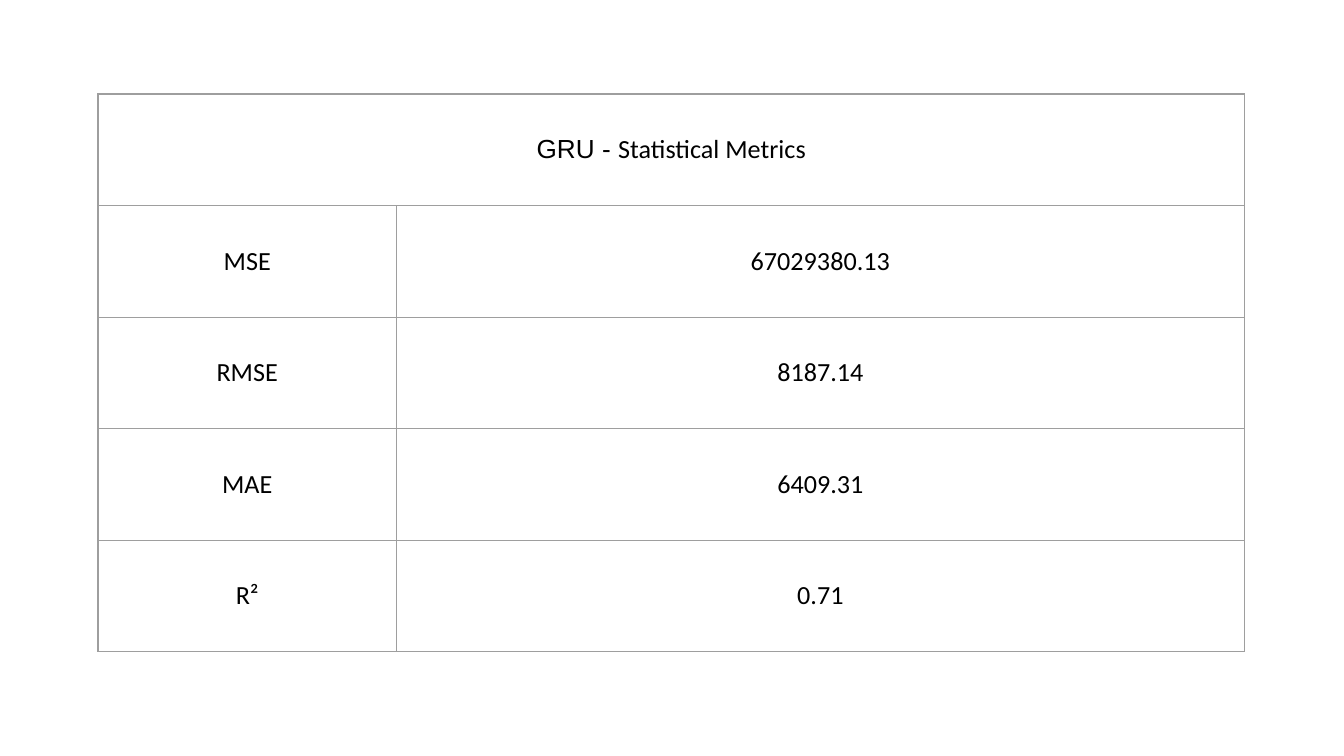
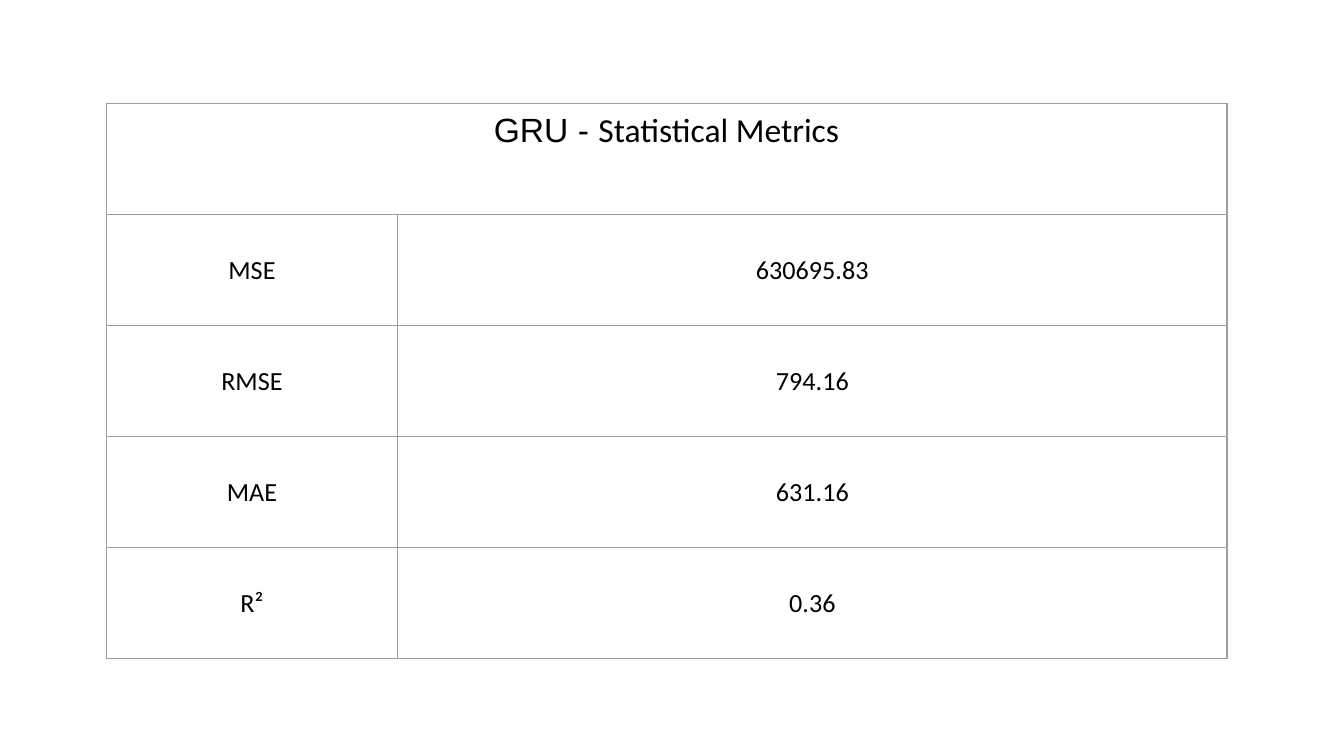
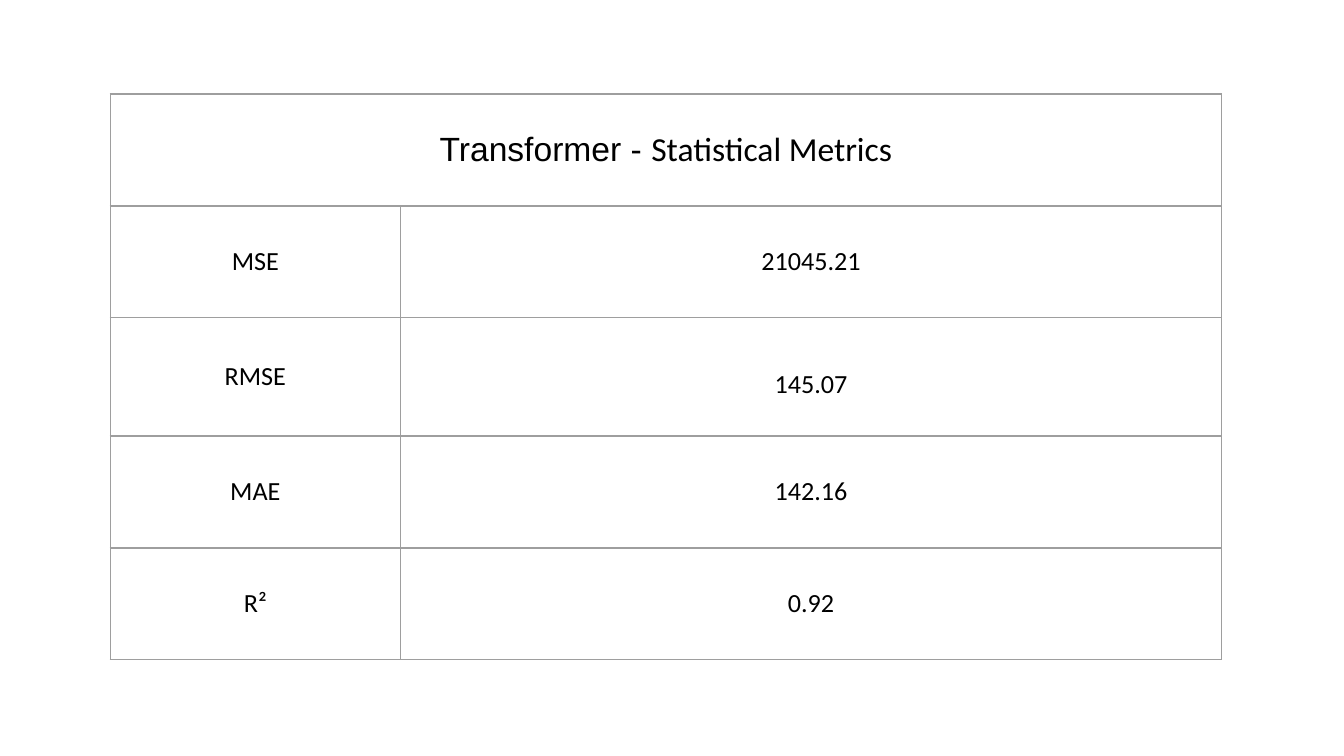
from lxml.etree import SubElement
from pptx import Presentation
from pptx.dml.color import RGBColor
from pptx.enum.text import MSO_ANCHOR as Anchor, PP_ALIGN as Align
from pptx.oxml.ns import qn
from pptx.util import Inches, Pt

COLORS = {"text": "000000", "border": "9E9E9E"}
MODEL_FONT = "Arial"
BODY_FONT = "Calibri"
BODY_SIZE = 14
BORDER_WIDTH = 0.75
SLIDE_WIDTH = 10
SLIDE_HEIGHT = SLIDE_WIDTH * 9 / 16
CELL_MARGIN = 0.05

METRICS = ["MSE", "RMSE", "MAE", "R²"]
RESULTS = [
    {"model": "GRU", "values": ["67029380.13", "8187.14", "6409.31", "0.71"],
     "box": (0.73, 0.7, 8.53, 4.15), "label_width": 2.22, "title_size": 14},
    {"model": "GRU", "values": ["630695.83", "794.16", "631.16", "0.36"],
     "box": (0.79, 0.77, 8.34, 4.13), "label_width": 2.17, "title_size": 18,
     "title_anchor": Anchor.TOP},
    {"model": "Transformer", "values": ["21045.21", "145.07", "142.16", "0.92"],
     "box": (0.82, 0.7, 8.27, 4.21), "label_width": 2.16, "title_size": 18,
     "row_heights": {"RMSE": 0.88}, "line_spacing": {"RMSE": 1.5}},
]


def add_borders(cell):
    properties = cell._tc.get_or_add_tcPr()
    for side in ("a:lnL", "a:lnR", "a:lnT", "a:lnB"):
        line = SubElement(properties, qn(side), w=str(Pt(BORDER_WIDTH)))
        fill = SubElement(line, qn("a:solidFill"))
        SubElement(fill, qn("a:srgbClr"), val=COLORS["border"])


def format_cell(cell):
    add_borders(cell)
    cell.fill.background()
    cell.margin_top = cell.margin_bottom = Inches(CELL_MARGIN)
    cell.vertical_anchor = Anchor.MIDDLE


def write_cell(cell, runs, size=BODY_SIZE, line_spacing=None):
    paragraph = cell.text_frame.paragraphs[0]
    paragraph.alignment = Align.CENTER
    paragraph.line_spacing = line_spacing
    for text, font_name in runs:
        run = paragraph.add_run()
        run.text = text
        run.font.name = font_name
        run.font.size = Pt(size)
        run.font.color.rgb = RGBColor.from_string(COLORS["text"])


def size_table(table, result):
    _, _, width, height = result["box"]
    label_width = result["label_width"]
    for column, column_width in zip(table.columns, (label_width, width - label_width)):
        column.width = Inches(column_width)
    special_heights = result.get("row_heights", {})
    row_count = len(METRICS) + 1
    equal_height = (height - sum(special_heights.values())) / (row_count - len(special_heights))
    for row, name in zip(table.rows, ["title"] + METRICS):
        row.height = Inches(special_heights.get(name, equal_height))


def add_metrics_slide(presentation, result):
    slide = presentation.slides.add_slide(presentation.slide_layouts[6])
    box = [Inches(length) for length in result["box"]]
    table = slide.shapes.add_table(len(METRICS) + 1, 2, *box).table
    table.first_row = False
    table.horz_banding = False
    size_table(table, result)
    for cell in table.iter_cells():
        format_cell(cell)

    title = table.cell(0, 0)
    title.merge(table.cell(0, 1))
    title.vertical_anchor = result.get("title_anchor", Anchor.MIDDLE)
    write_cell(title, [(f"{result['model']} - ", MODEL_FONT), ("Statistical Metrics", BODY_FONT)],
               result["title_size"])
    spacings = result.get("line_spacing", {})
    for index, (metric, value) in enumerate(zip(METRICS, result["values"]), start=1):
        write_cell(table.cell(index, 0), [(metric, BODY_FONT)])
        write_cell(table.cell(index, 1), [(value, BODY_FONT)], line_spacing=spacings.get(metric))


def main():
    presentation = Presentation()
    presentation.slide_width = Inches(SLIDE_WIDTH)
    presentation.slide_height = Inches(SLIDE_HEIGHT)
    for result in RESULTS:
        add_metrics_slide(presentation, result)
    presentation.save("out.pptx")


if __name__ == "__main__":
    main()
